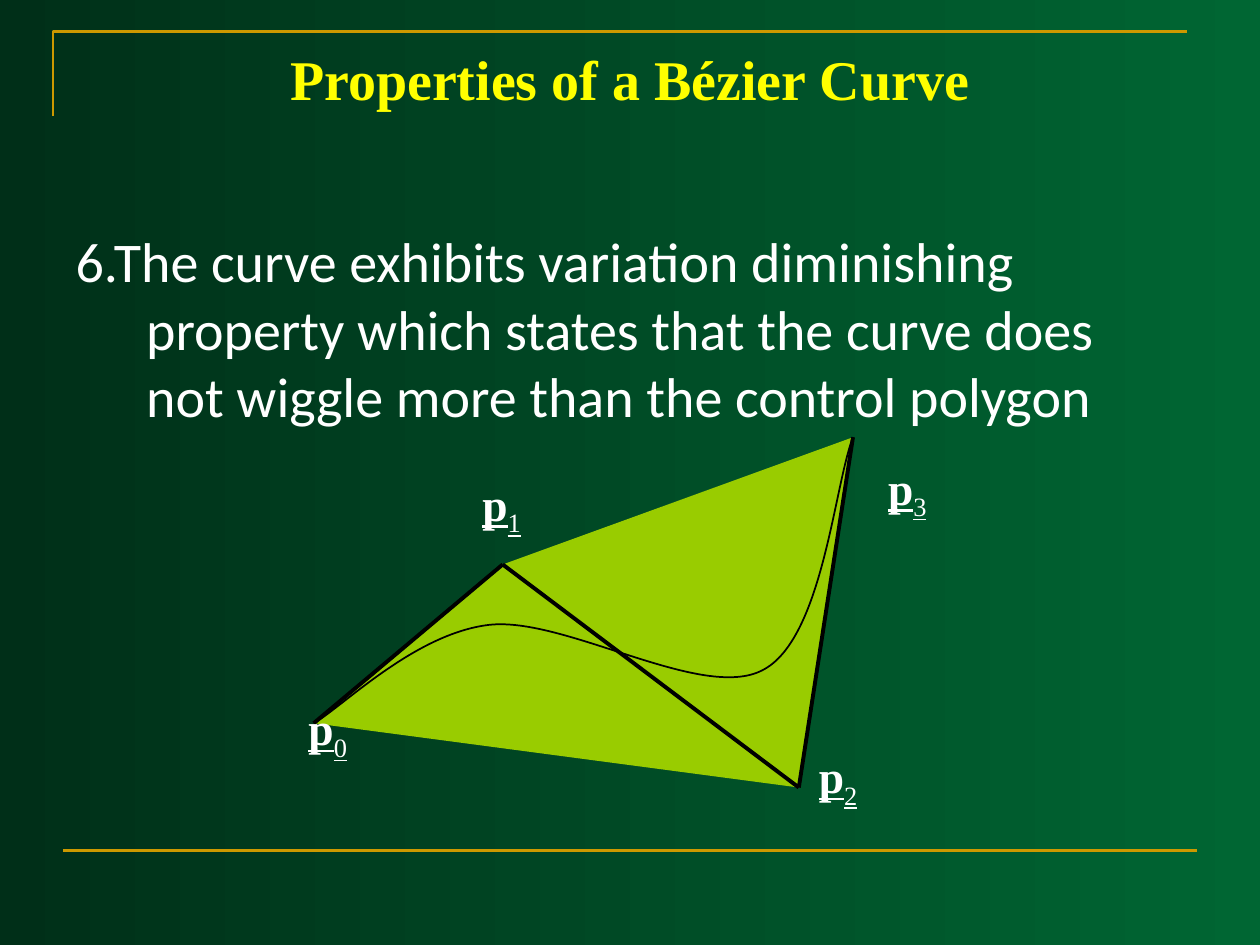
import pptx
import pptx.dml.color
import pptx.enum.shapes
import pptx.enum.text
import pptx.oxml
import pptx.oxml.ns
import pptx.util
from pptx.util import Inches

GOLD, BLACK, WHITE = "CC9900", "000000", "FFFFFF"
SERIF, SANS = "Times New Roman", "Calibri"
TITLE_FORMAT = {"name": SERIF, "size": pptx.util.Pt(32), "bold": True}
BODY_FORMAT = {"name": SANS, "size": pptx.util.Pt(32)}
LABEL_FORMAT = {"name": SERIF, "size": pptx.util.Pt(26), "underline": True}

# Control points p0 to p3, then the cubic segments of the curve between p0 and p3.
P0, P1, P2, P3 = (2.49, 5.74), (3.99, 4.48), (6.34, 6.25), (6.77, 3.47)
CURVE = [
    P0,
    (2.72, 5.61), (3.29, 5.03), (3.88, 4.96),
    (4.48, 4.89), (5.57, 5.57), (6.05, 5.32),
    (6.53, 5.08), (6.62, 3.85), P3,
]
LABELS = [(2.35, 5.51), (3.73, 3.73), (6.4, 5.89), (6.95, 3.6)]


def rgb(value):
    return pptx.dml.color.RGBColor.from_string(value)


def apply(target, values):
    for name, value in values.items():
        setattr(target, name, value)


class SlideWriter:
    """Holds the current slide and draws each kind of element on it."""

    def __init__(self, slide):
        self.slide = slide
        self.shapes = slide.shapes

    def background(self, start, end):
        fill = self.slide.background.fill
        fill.gradient()
        fill.gradient_angle = 0
        for stop, color, position in zip(fill.gradient_stops, (start, end), (0, 1)):
            stop.color.rgb = rgb(color)
            stop.position = position

    def place(self, shape, left, top, width, height):
        apply(shape, {"left": Inches(left), "top": Inches(top),
                      "width": Inches(width), "height": Inches(height)})

    def run(self, paragraph, text, values, color=WHITE):
        run = paragraph.add_run()
        run.text = text
        apply(run.font, values)
        run.font.color.rgb = rgb(color)
        return run

    def title(self, text, color, *box):
        shape = self.shapes.title
        self.place(shape, *box)
        apply(shape.text_frame, {"vertical_anchor": pptx.enum.text.MSO_ANCHOR.TOP,
                                 "margin_top": Inches(0.05)})
        paragraph = shape.text_frame.paragraphs[0]
        paragraph.alignment = pptx.enum.text.PP_ALIGN.CENTER
        self.run(paragraph, text, TITLE_FORMAT, color)

    def body(self, text, hanging, *box):
        shape = self.slide.placeholders[1]
        self.place(shape, *box)
        paragraph = shape.text_frame.paragraphs[0]
        paragraph.space_before = pptx.util.Pt(0)
        properties = paragraph._p.get_or_add_pPr()
        properties.set("marL", str(Inches(hanging)))
        properties.set("indent", str(-Inches(hanging)))
        properties.append(pptx.oxml.parse_xml(
            "<a:buNone %s/>" % pptx.oxml.ns.nsdecls("a")))
        self.run(paragraph, text, BODY_FORMAT)

    def outline(self, points, fill=None, line=None, width=1, closed=False):
        corners = [(Inches(x), Inches(y)) for x, y in points]
        builder = self.shapes.build_freeform(*corners[0])
        builder.add_line_segments(corners[1:], close=closed)
        shape = builder.convert_to_shape()
        shape.shadow.inherit = False
        if fill:
            shape.fill.solid()
            shape.fill.fore_color.rgb = rgb(fill)
        else:
            shape.fill.background()
        if line:
            shape.line.color.rgb = rgb(line)
            shape.line.width = pptx.util.Pt(width)
        else:
            shape.line.fill.background()
        return shape

    def curve(self, points, line, width):
        """Draw cubic segments: a start, then three points for each segment."""
        shape = self.outline(points, line=line, width=width)
        steps = list(shape._element.iter(pptx.oxml.ns.qn("a:lnTo")))
        for first in range(0, len(steps), 3):
            cubic = pptx.oxml.parse_xml(
                "<a:cubicBezTo %s/>" % pptx.oxml.ns.nsdecls("a"))
            steps[first].addprevious(cubic)
            for step in steps[first:first + 3]:
                cubic.append(step[0])
                step.getparent().remove(step)

    def line(self, start, end, color, width):
        connector = self.shapes.add_connector(
            pptx.enum.shapes.MSO_CONNECTOR.STRAIGHT,
            *(Inches(value) for value in start + end))
        connector.line.color.rgb = rgb(color)
        connector.line.width = pptx.util.Pt(width)
        connector._element.spPr.append(pptx.oxml.parse_xml(
            "<a:effectLst %s/>" % pptx.oxml.ns.nsdecls("a")))

    def point_label(self, index, left, top):
        box = self.shapes.add_textbox(
            Inches(left), Inches(top), Inches(0.6), Inches(0.6))
        apply(box.text_frame, {
            "word_wrap": True,
            "auto_size": pptx.enum.text.MSO_AUTO_SIZE.NONE})
        paragraph = box.text_frame.paragraphs[0]
        self.run(paragraph, "p", {**LABEL_FORMAT, "bold": True})
        subscript = self.run(paragraph, str(index), {**LABEL_FORMAT, "bold": False})
        subscript._r.get_or_add_rPr().set("baseline", "-25000")


def main():
    presentation = pptx.Presentation()
    presentation.slide_width = Inches(10)
    presentation.slide_height = Inches(7.5)
    writer = SlideWriter(presentation.slides.add_slide(presentation.slide_layouts[1]))

    writer.background("002F18", "006633")
    writer.outline([(0.42, 0.92), (0.42, 0.25), (9.42, 0.25)], line=GOLD, width=1.5)
    writer.line((0.5, 6.75), (9.5, 6.75), GOLD, 1.5)
    writer.title("Properties of a Bézier Curve", "FFFF00", 0.5, 0.3, 9, 1.25)
    writer.body("6.The curve exhibits variation diminishing property which states "
                "that the curve does not wiggle more than the control polygon",
                0.56, 0.5, 1.75, 9, 4.95)

    writer.outline([P2, P3, P1, P0], fill="99CC00", closed=True)
    for start, end in ((P0, P1), (P1, P2), (P2, P3)):
        writer.line(start, end, BLACK, 2.25)
    for index, position in enumerate(LABELS):
        writer.point_label(index, *position)
    writer.curve(CURVE, BLACK, 1)

    presentation.save("out.pptx")


if __name__ == "__main__":
    main()
